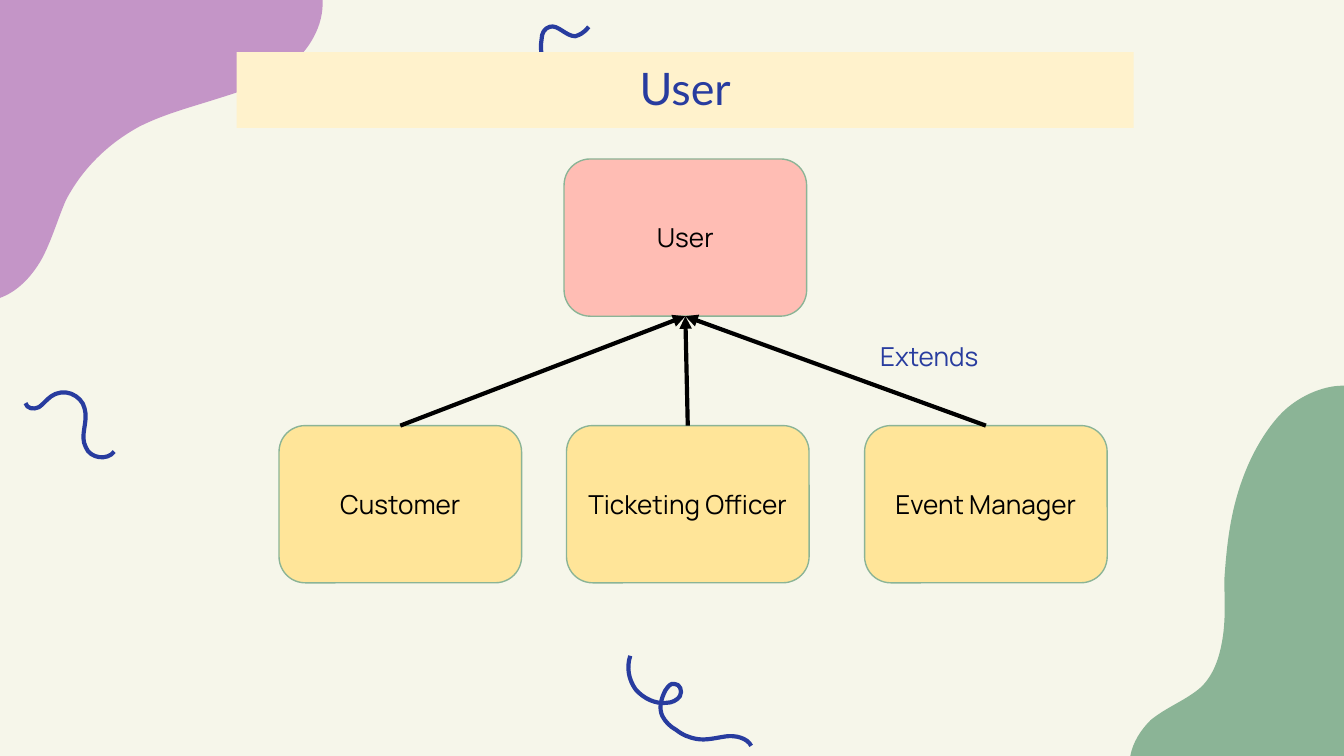
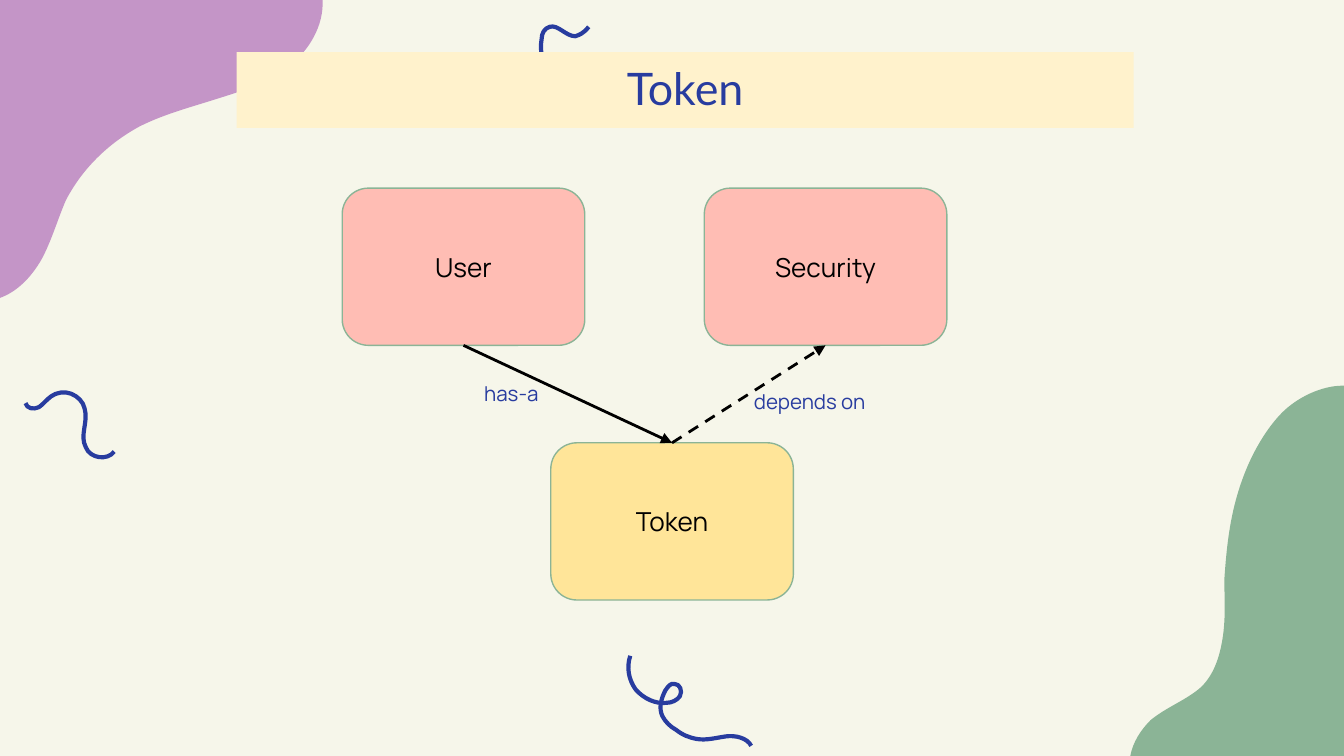
from dataclasses import dataclass
from typing import NamedTuple, Optional

from lxml.etree import SubElement
from pptx import Presentation
from pptx.dml.color import RGBColor
from pptx.enum.dml import MSO_LINE
from pptx.enum.shapes import MSO_CONNECTOR, MSO_SHAPE
from pptx.enum.text import MSO_ANCHOR, PP_ALIGN
from pptx.oxml.ns import qn
from pptx.util import Inches, Pt

WIDTH, HEIGHT = Inches(10), Inches(5.625)
COLUMN, ROW = WIDTH / 100, HEIGHT / 56.25
CARD_COLUMNS, CARD_ROWS = 18.05, 11.7
TOP, BOTTOM = 0, 2

PAPER, BAND = "F6F6EA", "FFF2CC"
PURPLE, GREEN, BLUE = "C495C7", "8BB496", "283C9F"
PINK, YELLOW, BLACK = "FFBDB4", "FFE599", "000000"


class Area(NamedTuple):
    column: float
    row: float
    columns: float
    rows: float


class TextStyle(NamedTuple):
    font: str
    size: float
    color: str
    align: PP_ALIGN = PP_ALIGN.CENTER
    anchor: MSO_ANCHOR = MSO_ANCHOR.MIDDLE


TITLE_AREA = Area(17.6, 3.87, 66.75, 5.65)
TITLE_STYLE = TextStyle("Lato", 24, BLUE, anchor=MSO_ANCHOR.BOTTOM)
CARD_STYLE = TextStyle("Manrope", 14, BLACK)
NOTE_STYLE = TextStyle("Manrope", 11, BLUE, anchor=MSO_ANCHOR.TOP)
WIDE_NOTE_STYLE = NOTE_STYLE._replace(size=14, align=PP_ALIGN.LEFT)


@dataclass(frozen=True)
class Curve:
    points: tuple
    corners: tuple = ()
    fill: Optional[str] = None


@dataclass(frozen=True)
class Card:
    text: str
    column: float
    row: float
    fill: str


@dataclass(frozen=True)
class Link:
    start: str
    start_side: int
    end: str
    end_side: int
    weight: float
    dash: Optional[MSO_LINE] = None


@dataclass(frozen=True)
class Note:
    text: str
    area: Area
    style: TextStyle = NOTE_STYLE


@dataclass(frozen=True)
class Diagram:
    title: str
    cards: tuple
    links: tuple
    notes: tuple


CURVES = (
    Curve(
        ((24, 0), (24.1, 1.9), (23, 3.8), (21.4, 5), (19.9, 6.2), (17.9, 6.8),
         (16, 7.4), (14.1, 8), (12.2, 8.5), (10.4, 9.4), (8, 10.7), (6.1, 12.6),
         (4.9, 14.9), (4.3, 16.3), (3.9, 17.7), (3.2, 19.1), (2.5, 20.4),
         (1.4, 21.7), (-0.1, 22.2)),
        corners=((-0.1, 0),), fill=PURPLE),
    Curve(
        ((35.9, 5.7), (36.6, 6.1), (37.3, 6.5), (38.1, 6.6), (38.8, 6.7),
         (39.7, 6.5), (40.1, 5.8), (40.6, 4.9), (40.1, 3.9), (40.3, 2.9),
         (40.3, 2.5), (40.5, 2.1), (40.9, 2), (41.5, 1.8), (42.1, 2.7),
         (42.8, 2.7), (43.1, 2.6), (43.4, 2.5), (43.8, 2))),
    Curve(
        ((1.9, 30), (2, 30.4), (2.5, 30.5), (2.9, 30.3), (3.2, 30.1),
         (3.4, 29.8), (3.8, 29.5), (4.2, 29.2), (4.8, 29.1), (5.3, 29.3),
         (5.8, 29.5), (6.2, 29.9), (6.3, 30.4), (6.6, 31.4), (5.9, 32.4),
         (6.4, 33.3), (6.7, 34.1), (8, 34.3), (8.5, 33.6))),
    Curve(
        ((46.9, 48.8), (46.6, 49.7), (46.8, 50.6), (47.3, 51.3), (47.9, 52),
         (48.8, 52.4), (49.6, 52.3), (50, 52.3), (50.4, 52.1), (50.6, 51.8),
         (50.8, 51.4), (50.6, 50.9), (50.2, 50.9), (49.9, 50.8), (49.7, 51.1),
         (49.5, 51.4), (49.2, 52), (49, 52.7), (49.3, 53.3), (49.5, 53.7),
         (49.9, 54.1), (50.3, 54.3), (50.8, 54.7), (51.3, 54.9), (51.9, 55),
         (52.6, 55.1), (53.3, 54.9), (54, 54.8), (54.7, 54.7), (55.6, 54.9),
         (55.9, 55.5))),
    Curve(
        ((84.1, 56.25), (84.3, 55.2), (84.9, 54.3), (85.6, 53.6), (86.8, 52.6),
         (88.3, 52.1), (89.4, 51.1), (90.4, 50.1), (90.8, 48.7), (91, 47.3),
         (91.2, 45.9), (91.1, 44.5), (91.1, 43.1), (91.3, 40.2), (91.6, 37.7),
         (92.7, 35), (93.3, 33.5), (94.3, 31.8), (95.4, 30.7), (96.5, 29.6),
         (98.3, 28.7), (99.9, 28.7)),
        corners=((100, 28.7), (100, 56.25)), fill=GREEN),
)

DIAGRAMS = (
    Diagram(
        "User",
        (Card("User", 41.97, 11.83, PINK),
         Card("Customer", 20.76, 31.67, YELLOW),
         Card("Ticketing Officer", 42.15, 31.67, YELLOW),
         Card("Event Manager", 64.33, 31.67, YELLOW)),
        tuple(Link(name, TOP, "User", BOTTOM, 2.25)
              for name in ("Customer", "Ticketing Officer", "Event Manager")),
        (Note("Extends", Area(64.5, 24.35, 13.5, 3.2), WIDE_NOTE_STYLE),)),
    Diagram(
        "Token",
        (Card("Token", 40.98, 32.95, YELLOW),
         Card("Security", 52.4, 14, PINK),
         Card("User", 25.46, 14, PINK)),
        (Link("Token", TOP, "Security", BOTTOM, 1.5, MSO_LINE.DASH),
         Link("User", BOTTOM, "Token", TOP, 1.5)),
        (Note("has-a", Area(31.1, 27.4, 13.9, 4)),
         Note("depends on", Area(53.3, 28.05, 13.9, 4)))),
)


def color(value: str) -> RGBColor:
    return RGBColor.from_string(value)


def apply_formats(target, formats: dict) -> None:
    for name, value in formats.items():
        setattr(target, name, value)


def place(area: Area) -> tuple:
    return (round(area.column * COLUMN), round(area.row * ROW),
            round(area.columns * COLUMN), round(area.rows * ROW))


def paint(shape, fill: Optional[str], line: Optional[str], weight: float = 0.75) -> None:
    shape.shadow.inherit = False
    if fill:
        shape.fill.solid()
        shape.fill.fore_color.rgb = color(fill)
    else:
        shape.fill.background()
    if line:
        shape.line.color.rgb = color(line)
        shape.line.width = Pt(weight)
    else:
        shape.line.fill.background()


def write(shape, text: str, style: TextStyle) -> None:
    frame = shape.text_frame
    margins = dict.fromkeys(
        ("margin_left", "margin_top", "margin_right", "margin_bottom"), Inches(0.1))
    apply_formats(frame, {"word_wrap": True, "vertical_anchor": style.anchor, **margins})
    para = frame.paragraphs[0]
    para.alignment = style.align
    span = para.add_run()
    span.text = text
    apply_formats(span.font, {"name": style.font, "size": Pt(style.size)})
    span.font.color.rgb = color(style.color)


def bend(shape, segments: int) -> None:
    outline = next(shape._element.iter(qn("a:path")))
    lines = outline.findall(qn("a:lnTo"))[:3 * segments]
    for first in range(0, len(lines), 3):
        bezier = SubElement(outline, qn("a:cubicBezTo"))
        lines[first].addprevious(bezier)
        for line in lines[first:first + 3]:
            bezier.append(line[0])
            outline.remove(line)


def draw_curve(page, curve: Curve) -> None:
    outline = [(round(column * COLUMN), round(row * ROW))
               for column, row in curve.points + curve.corners]
    builder = page.shapes.build_freeform(*outline[0])
    builder.add_line_segments(outline[1:], close=bool(curve.fill))
    shape = builder.convert_to_shape()
    bend(shape, len(curve.points) // 3)
    paint(shape, curve.fill, None if curve.fill else BLUE, 2.25)


def draw_title(page, title: str) -> None:
    band = page.shapes.add_shape(MSO_SHAPE.RECTANGLE, *place(TITLE_AREA))
    paint(band, BAND, None)
    write(band, title, TITLE_STYLE)


def draw_card(page, card: Card):
    area = Area(card.column, card.row, CARD_COLUMNS, CARD_ROWS)
    box = page.shapes.add_shape(MSO_SHAPE.ROUNDED_RECTANGLE, *place(area))
    paint(box, card.fill, GREEN)
    write(box, card.text, CARD_STYLE)
    return box


def draw_link(page, link: Link, boxes: dict) -> None:
    arrow = page.shapes.add_connector(MSO_CONNECTOR.STRAIGHT, 0, 0, 0, 0)
    arrow.begin_connect(boxes[link.start], link.start_side)
    arrow.end_connect(boxes[link.end], link.end_side)
    arrow.line.color.rgb = color(BLACK)
    apply_formats(arrow.line, {"width": Pt(link.weight), "dash_style": link.dash})
    properties = arrow._element.spPr
    SubElement(properties.find(qn("a:ln")), qn("a:tailEnd"), type="triangle")
    SubElement(properties, qn("a:effectLst"))


def draw_note(page, note: Note) -> None:
    write(page.shapes.add_textbox(*place(note.area)), note.text, note.style)


def draw_diagram(deck, diagram: Diagram) -> None:
    page = deck.slides.add_slide(deck.slide_layouts[6])
    page.background.fill.solid()
    page.background.fill.fore_color.rgb = color(PAPER)
    for curve in CURVES:
        draw_curve(page, curve)
    draw_title(page, diagram.title)
    boxes = {card.text: draw_card(page, card) for card in diagram.cards}
    for link in diagram.links:
        draw_link(page, link, boxes)
    for note in diagram.notes:
        draw_note(page, note)


def main() -> None:
    deck = Presentation()
    apply_formats(deck, {"slide_width": WIDTH, "slide_height": HEIGHT})
    for diagram in DIAGRAMS:
        draw_diagram(deck, diagram)
    deck.save("out.pptx")


if __name__ == "__main__":
    main()
